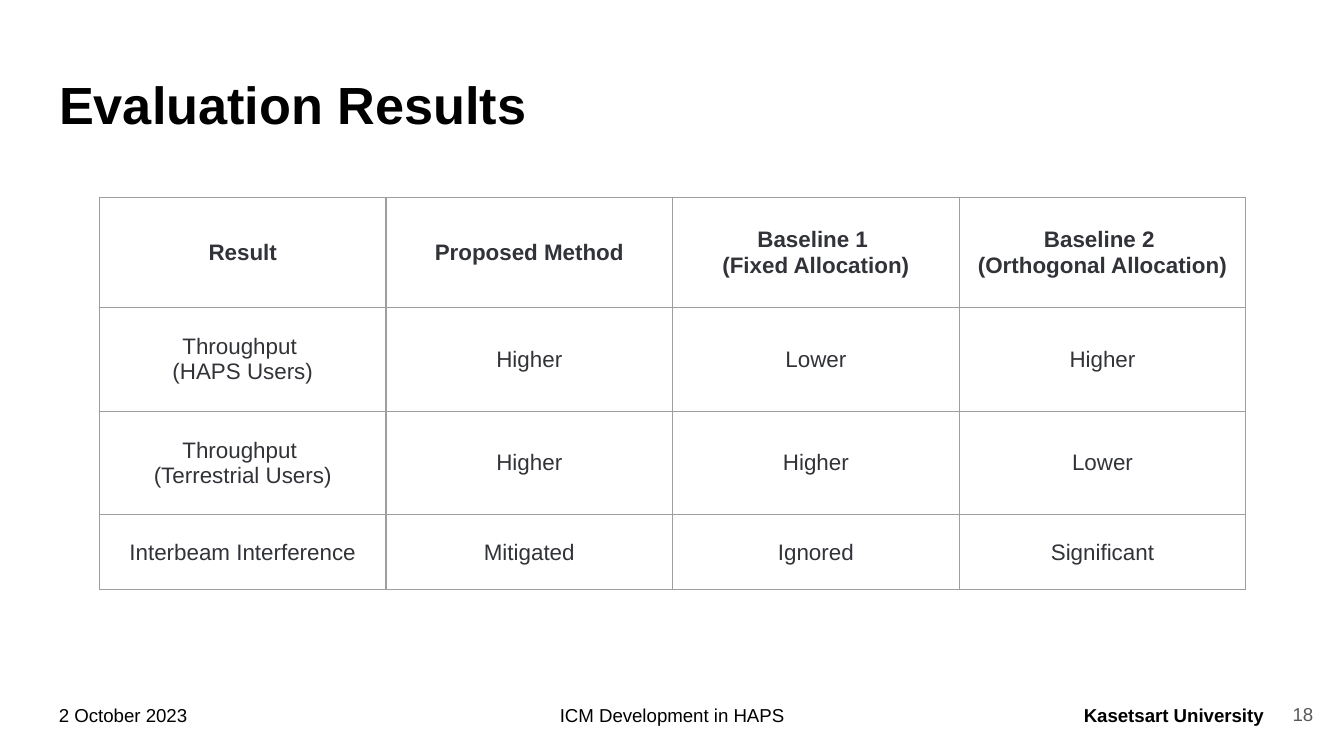
from dataclasses import dataclass
from typing import Any

import pptx
import pptx.dml.color
import pptx.enum.text
import pptx.oxml
import pptx.oxml.ns
import pptx.util

Inches = pptx.util.Inches
Align = pptx.enum.text.PP_ALIGN
Anchor = pptx.enum.text.MSO_ANCHOR
AutoSize = pptx.enum.text.MSO_AUTO_SIZE


@dataclass(frozen=True)
class Theme:
    font: str = "Arial"
    ink: str = "000000"
    table_ink: str = "313338"
    number_ink: str = "595959"
    border: str = "9E9E9E"
    border_width: float = 0.75
    title_size: int = 28
    table_size: int = 12
    footer_size: int = 10


@dataclass(frozen=True)
class Box:
    left: float
    top: float
    width: float
    height: float

    def lengths(self) -> list[int]:
        return [Inches(n) for n in (self.left, self.top, self.width, self.height)]


@dataclass(frozen=True)
class FooterPart:
    text: str
    box: Box
    align: Any
    bold: bool = False
    color: str = Theme.ink
    anchor: Any = Anchor.TOP


THEME = Theme()
SLIDE_WIDTH = Inches(10)
SLIDE_HEIGHT = SLIDE_WIDTH * 9 // 16
TITLE_BOX = Box(0.34, 0.49, 9.32, 0.63)
TABLE_BOX = Box(0.74, 1.47, 8.53, 2.92)
ROW_HEIGHTS = (0.82, 0.77, 0.77, 0.56)
RESULTS = (
    ("Result", "Proposed Method", "Baseline 1 \n(Fixed Allocation)",
     "Baseline 2 \n(Orthogonal Allocation)"),
    ("Throughput \n(HAPS Users)", "Higher", "Lower", "Higher"),
    ("Throughput \n(Terrestrial Users)", "Higher", "Higher", "Lower"),
    ("Interbeam Interference", "Mitigated", "Ignored", "Significant"),
)
FOOTER = (
    FooterPart("2 October 2023", Box(0.34, 5.14, 1.18, 0.37), Align.LEFT),
    FooterPart("ICM Development in HAPS", Box(2.53, 5.14, 4.94, 0.37), Align.CENTER),
    FooterPart("Kasetsart University", Box(7.92, 5.14, 1.58, 0.37), Align.RIGHT, bold=True),
    FooterPart("18", Box(9.27, 5.1, 0.6, 0.43), Align.RIGHT,
               color=THEME.number_ink, anchor=Anchor.MIDDLE),
)


def apply(target: Any, values: dict[str, Any]) -> None:
    for name, value in values.items():
        setattr(target, name, value)


def write(frame: Any, text: str, size: int, color: str, bold: bool, align: Any) -> None:
    """Fill a text frame, one paragraph per line of text."""
    frame.text = text
    for paragraph in frame.paragraphs:
        paragraph.alignment = align
        for run in paragraph.runs:
            apply(run.font, {"name": THEME.font, "size": pptx.util.Pt(size), "bold": bold})
            run.font.color.rgb = pptx.dml.color.RGBColor.from_string(color)


def format_frame(frame: Any, anchor: Any) -> None:
    inset = Inches(0.1)
    apply(frame, {
        "word_wrap": True, "auto_size": AutoSize.NONE, "vertical_anchor": anchor,
        "margin_left": inset, "margin_top": inset,
        "margin_right": inset, "margin_bottom": inset,
    })


def add_title(slide: Any, text: str) -> None:
    title = slide.shapes.title
    apply(title, dict(zip(("left", "top", "width", "height"), TITLE_BOX.lengths())))
    format_frame(title.text_frame, Anchor.TOP)
    write(title.text_frame, text, THEME.title_size, THEME.ink, True, Align.LEFT)
    apply(title.text_frame.paragraphs[0],
          {"line_spacing": 0.9, "space_before": pptx.util.Pt(0)})


def add_footer_part(slide: Any, part: FooterPart) -> None:
    frame = slide.shapes.add_textbox(*part.box.lengths()).text_frame
    format_frame(frame, part.anchor)
    write(frame, part.text, THEME.footer_size, part.color, part.bold, part.align)


def add_borders(cell: Any) -> None:
    """Line all four sides; call before setting the fill, which must come later in the XML."""
    properties = cell._tc.get_or_add_tcPr()
    for side in ("lnL", "lnR", "lnT", "lnB"):
        properties.append(pptx.oxml.parse_xml(
            f'<a:{side} {pptx.oxml.ns.nsdecls("a")} w="{pptx.util.Pt(THEME.border_width)}">'
            f'<a:solidFill><a:srgbClr val="{THEME.border}"/></a:solidFill></a:{side}>'
        ))


def add_results(slide: Any) -> None:
    columns = len(RESULTS[0])
    table = slide.shapes.add_table(len(RESULTS), columns, *TABLE_BOX.lengths()).table
    apply(table, {"first_row": False, "horz_banding": False})
    for column in table.columns:
        column.width = Inches(TABLE_BOX.width / columns)
    for index, (row, height, texts) in enumerate(zip(table.rows, ROW_HEIGHTS, RESULTS)):
        row.height = Inches(height)
        for cell, text in zip(row.cells, texts):
            apply(cell, {
                "vertical_anchor": Anchor.MIDDLE,
                "margin_left": Inches(0.1), "margin_right": Inches(0.1),
                "margin_top": Inches(0.05), "margin_bottom": Inches(0.05),
            })
            add_borders(cell)
            cell.fill.background()
            write(cell.text_frame, text, THEME.table_size, THEME.table_ink,
                  index == 0, Align.CENTER)


def main() -> None:
    deck = pptx.Presentation()
    apply(deck, {"slide_width": SLIDE_WIDTH, "slide_height": SLIDE_HEIGHT})
    slide = deck.slides.add_slide(deck.slide_layouts.get_by_name("Title Only"))
    for part in FOOTER:
        add_footer_part(slide, part)
    add_title(slide, "Evaluation Results")
    add_results(slide)
    deck.save("out.pptx")


if __name__ == "__main__":
    main()
